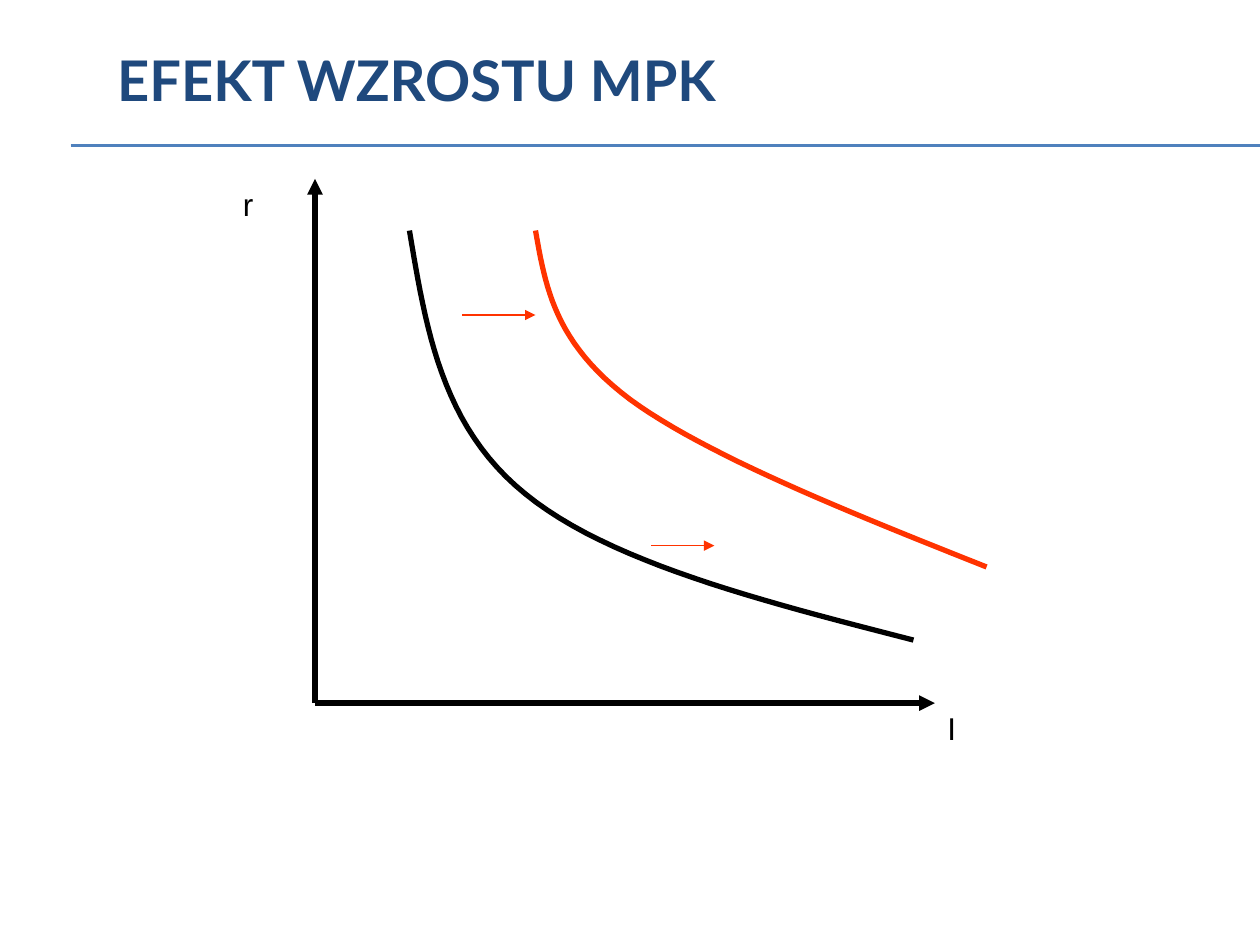
from lxml.etree import SubElement
from pptx import Presentation
from pptx.dml.color import RGBColor
from pptx.enum.shapes import MSO_CONNECTOR
from pptx.enum.text import MSO_ANCHOR, MSO_AUTO_SIZE, PP_ALIGN
from pptx.oxml.ns import qn
from pptx.util import Inches, Pt

BLACK, RED, RULE_BLUE, TITLE_BLUE = "000000", "FF3300", "4F81BD", "1F497D"
STEPS = 24


def colour(value):
    return RGBColor.from_string(value)


def set_line(shape, value, width):
    shape.line.color.rgb = colour(value)
    shape.line.width = Pt(width)


def add_line(page, start, end, value, width, arrow=False):
    line = page.shapes.add_connector(
        MSO_CONNECTOR.STRAIGHT, *(Inches(n) for n in (*start, *end)))
    set_line(line, value, width)
    if arrow:
        SubElement(line.line._get_or_add_ln(), qn("a:tailEnd"), type="triangle")
    SubElement(line._element.spPr, qn("a:effectLst"))


def bezier(start, first, second, end, t):
    return tuple(
        Inches((1 - t) ** 3 * a + 3 * (1 - t) ** 2 * t * b
               + 3 * (1 - t) * t ** 2 * c + t ** 3 * d)
        for a, b, c, d in zip(start, first, second, end))


def add_curve(page, start, segments, value):
    points = []
    current = start
    for first, second, end in segments:
        points += [bezier(current, first, second, end, step / STEPS)
                   for step in range(1, STEPS + 1)]
        current = end
    builder = page.shapes.build_freeform(Inches(start[0]), Inches(start[1]))
    builder.add_line_segments(points, close=False)
    curve = builder.convert_to_shape()
    curve.fill.background()
    curve.shadow.inherit = False
    set_line(curve, value, 3)


def add_axis_label(page, text, left, top, width):
    box = page.shapes.add_textbox(
        Inches(left), Inches(top), Inches(width), Inches(0.57))
    frame = box.text_frame
    frame.word_wrap = True
    frame.auto_size = MSO_AUTO_SIZE.SHAPE_TO_FIT_TEXT
    para = frame.paragraphs[0]
    para.text = text
    para.font.name = "Arial"
    para.font.size = Pt(18)
    para.font.color.rgb = colour(BLACK)


def add_heading(page, left, top, width, height):
    title = page.shapes.title
    title.left, title.top = Inches(left), Inches(top)
    title.width, title.height = Inches(width), Inches(height)
    frame = title.text_frame
    frame.word_wrap = True
    frame.auto_size = MSO_AUTO_SIZE.NONE
    frame.vertical_anchor = MSO_ANCHOR.MIDDLE
    para = frame.paragraphs[0]
    para.text = "EFEKT WZROSTU MPK"
    para.alignment = PP_ALIGN.LEFT
    para.font.name = "Lato"
    para.font.size = Pt(32)
    para.font.bold = True
    para.font.color.rgb = colour(TITLE_BLUE)
    for y in (1.15, 1.16):
        add_line(page, (0.56, y), (10, y), RULE_BLUE, 0.75)


def add_diagram(page, left, top, width, height):
    def place(x, y):
        return left + x, top + y

    def place_all(segments):
        return [[place(*point) for point in segment] for segment in segments]

    origin = place(0, height)
    add_line(page, origin, place(0, 0), BLACK, 3, arrow=True)
    add_line(page, origin, place(width, height), BLACK, 3, arrow=True)
    add_axis_label(page, "r", left - 0.67, top, 0.5)
    add_axis_label(page, "I", left + width, top + height, 0.42)

    add_curve(page, place(0.75, 0.41), place_all([
        [(0.88, 1.18), (1, 1.96), (1.67, 2.5)],
        [(2.33, 3.04), (3.54, 3.35), (4.75, 3.66)]]), BLACK)
    for x, y, length in ((1.17, 1.08, 0.58), (2.67, 2.91, 0.5)):
        add_line(page, place(x, y), place(x + length, y), RED, 0.75, arrow=True)
    add_curve(page, place(1.75, 0.41), place_all([
        [(1.83, 0.86), (1.9, 1.3), (2.5, 1.75)],
        [(3.1, 2.19), (4.22, 2.64), (5.33, 3.08)]]), RED)


def main():
    deck = Presentation()
    deck.slide_width, deck.slide_height = Inches(10), Inches(7.5)
    page = deck.slides.add_slide(deck.slide_layouts[5])
    add_heading(page, 0.83, 0, 8.5, 1.25)
    add_diagram(page, 2.5, 1.42, 4.92, 4.16)
    deck.save("out.pptx")


if __name__ == "__main__":
    main()
